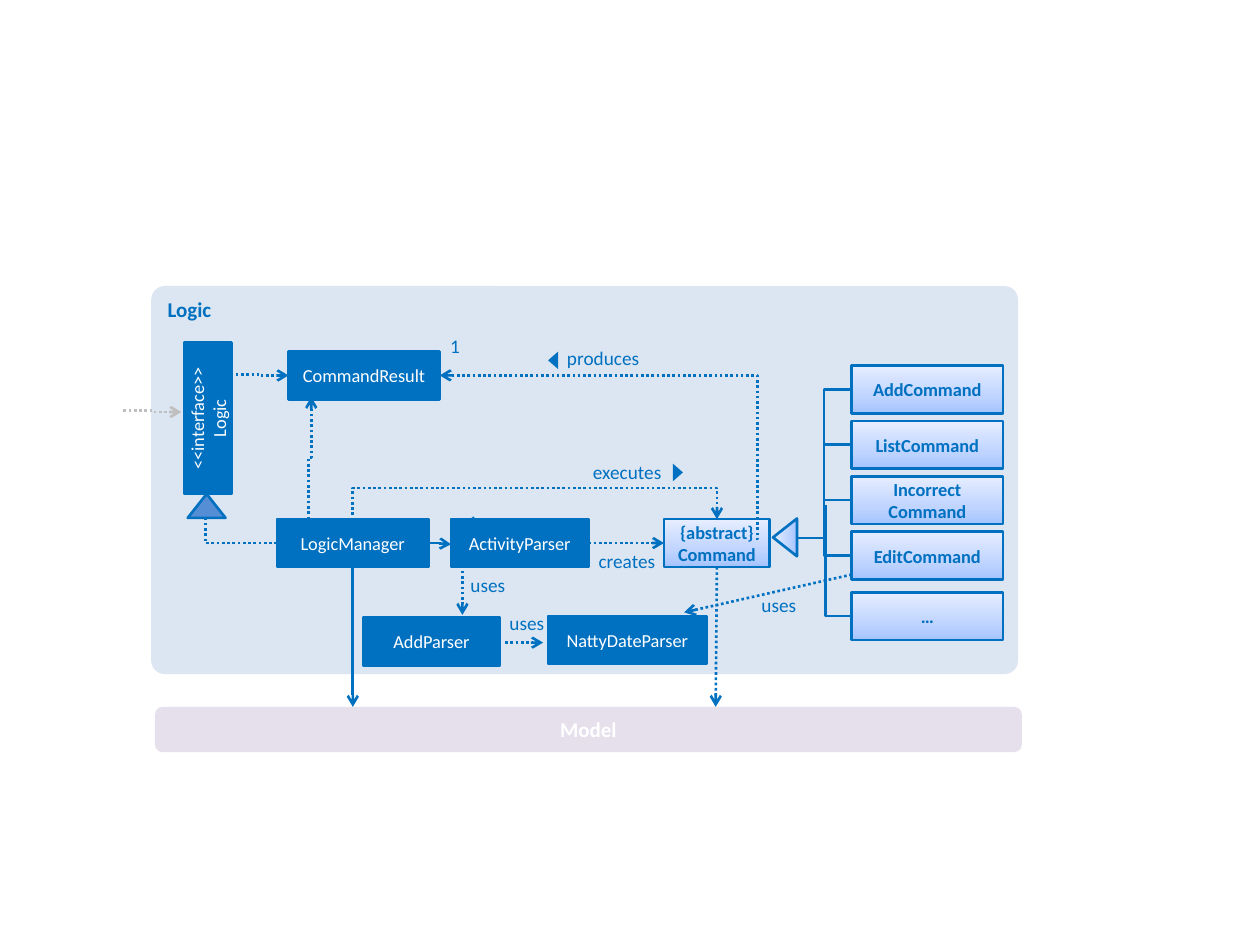
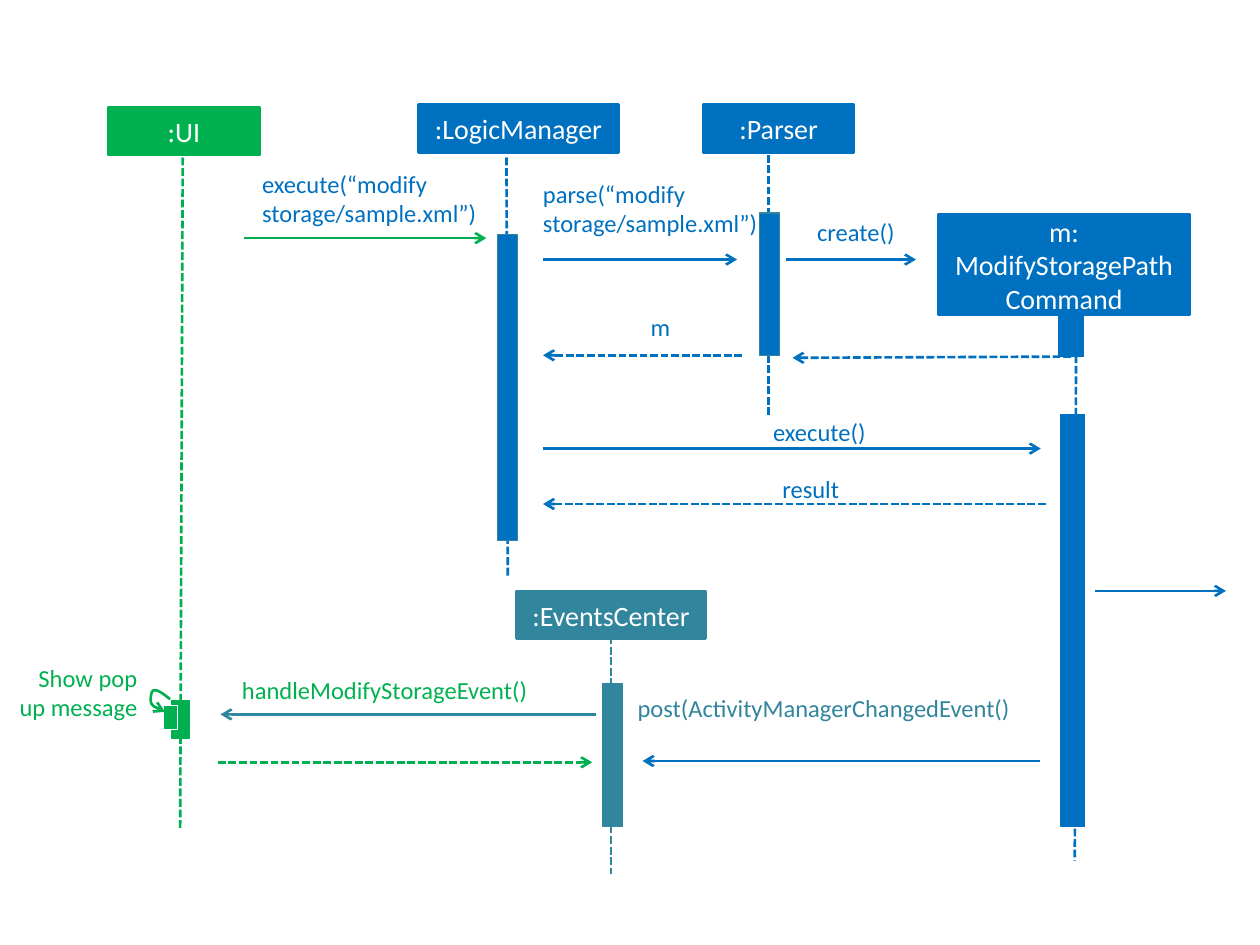
import copy

import pptx
import pptx.dml.color
import pptx.enum.dml
import pptx.enum.shapes
import pptx.enum.text
import pptx.oxml
import pptx.oxml.ns
import pptx.util

INCH = pptx.util.Inches
KIND = pptx.enum.shapes.MSO_SHAPE
ALIGN = pptx.enum.text.PP_ALIGN
ANCHOR = pptx.enum.text.MSO_ANCHOR
QN = pptx.oxml.ns.qn
DOT = pptx.enum.dml.MSO_LINE.ROUND_DOT
DASH = pptx.enum.dml.MSO_LINE.SQUARE_DOT

FONT = "Calibri"
BLUE, TEAL, GREEN, UI_GREEN = "0070C0", "31859C", "00B050", "00B14F"
WHITE, GREY, PANEL, LILAC, MID_BLUE = "FFFFFF", "BFBFBF", "DCE6F2", "E6E0EC", "558ED5"
PALE = ((0, "A4C4FF"), (0.35, "BFD4FF"), (1, "E6EEFF"))
BOX_H = 0.38

# Class diagram: left, top, width, text
CLASSES = [
    (2.29, 2.79, 1.2, "CommandResult"),
    (2.2, 4.12, 1.2, "LogicManager"),
    (3.58, 4.12, 1.09, "ActivityParser"),
    (2.88, 4.9, 1.09, "AddParser"),
    (4.35, 4.89, 1.26, "NattyDateParser"),
]
COMMANDS = ["AddCommand", "ListCommand", "Incorrect\vCommand", "EditCommand"]
COMMAND_X, COMMAND_TOP, COMMAND_STEP, COMMAND_W = 6.76, 2.9, 0.44, 1.2
MORE_TOP = 4.7
INHERIT_FROM, INHERIT_BEND = (6.33, 4.27), 6.54
# start, end, colour, dash
CLASS_ARROWS = [
    ((5.69, 4.5), (5.68, 5.61), BLUE, DOT),
    ((4.67, 4.31), (5.27, 4.31), BLUE, DOT),
    ((2.8, 4.5), (2.8, 5.61), BLUE, None),
    ((3.67, 4.53), (3.67, 4.88), BLUE, DOT),
    ((4.01, 5.1), (4.31, 5.1), BLUE, DOT),
    ((6.76, 4.56), (5.43, 4.86), BLUE, DOT),
]
# start, end, bend, bend is a height, format
CLASS_ELBOWS = [
    ((6, 4.28), (3.49, 2.98), 6.01, False, {"dash": DOT}),
    ((1.83, 2.97), (2.29, 2.98), 2.06, False, {"dash": DOT}),
    ((3.4, 4.31), (3.58, 4.32), 3.49, False, {}),
    ((0.98, 3.26), (1.44, 3.27), 1.21, False, {"dash": DOT, "color": GREY}),
    ((2.8, 4.13), (5.69, 4.12), 3.87, True, {"dash": DOT}),
    ((2.45, 4.12), (2.47, 3.15), 3.63, True, {"dash": DOT}),
]
# left, top, width, text, alignment
CLASS_LABELS = [
    (4.45, 3.65, 0.8, "executes", ALIGN.RIGHT),
    (4.5, 2.75, 0.8, "produces", ALIGN.LEFT),
    (3.51, 2.65, 0.14, "1", ALIGN.RIGHT),
    (3.65, 4.05, 0.14, "1", ALIGN.RIGHT),
    (4.59, 4.36, 0.61, "creates", ALIGN.RIGHT),
    (3.4, 4.55, 0.61, "uses", ALIGN.RIGHT),
    (3.71, 4.85, 0.61, "uses", ALIGN.RIGHT),
    (5.71, 4.71, 0.61, "uses", ALIGN.RIGHT),
]
# box, rotation, fill, outline
TRIANGLES = [
    ((6.08, 4.17, 0.3, 0.19), 270, PALE, BLUE),
    ((1.49, 3.92, 0.3, 0.19), 0, MID_BLUE, BLUE),
    ((5.31, 3.71, 0.14, 0.08), 90, BLUE, None),
    ((4.32, 2.82, 0.14, 0.08), 270, BLUE, None),
]

# Sequence diagram: box, text, fill, outline
PARTICIPANTS = [
    ((4.1, 4.69, 1.5, BOX_H), ":EventsCenter", TEAL, TEAL),
    ((0.86, 0.85, 1.2, BOX_H), ":UI", UI_GREEN, GREEN),
    ((3.32, 0.83, 1.59, BOX_H), ":LogicManager", BLUE, BLUE),
    ((5.58, 0.83, 1.2, BOX_H), ":Parser", BLUE, BLUE),
    ((7.45, 1.7, 1.99, 0.8), "m: ModifyStoragePath\vCommand", BLUE, BLUE),
]
LIFELINES = [
    ((4.85, 5.05), (4.85, 6.94), TEAL),
    ((1.45, 1.25), (1.43, 6.57), GREEN),
    ((4.02, 1.25), (4.03, 4.57), BLUE),
    ((6.1, 1.23), (6.1, 3.29), BLUE),
    ((8.54, 2.82), (8.53, 6.83), BLUE),
]
ACTIVATIONS = [
    ((4.78, 5.43, 0.16, 1.13), TEAL, TEAL),
    ((1.36, 5.56, 0.14, 0.3), GREEN, GREEN),
    ((1.3, 5.6, 0.11, 0.19), GREEN, WHITE),
    ((3.95, 1.86, 0.16, 2.43), BLUE, TEAL),
    ((6.03, 1.69, 0.16, 1.13), BLUE, TEAL),
    ((8.4, 2.48, 0.2, 0.35), BLUE, BLUE),
    ((8.42, 3.29, 0.19, 3.27), BLUE, BLUE),
]
MESSAGES = [
    ((1.73, 6.05), (4.7, 6.05), GREEN, DASH),
    ((4.73, 5.67), (1.75, 5.67), TEAL, None),
    ((1.94, 1.89), (3.86, 1.89), GREEN, None),
    ((4.31, 2.06), (5.85, 2.06), BLUE, None),
    ((6.24, 2.06), (7.27, 2.06), BLUE, None),
    ((8.5, 2.83), (6.29, 2.84), BLUE, DASH),
    ((5.89, 2.82), (4.31, 2.82), BLUE, DASH),
    ((4.31, 3.56), (8.26, 3.56), BLUE, None),
    ((8.3, 4), (4.31, 4), BLUE, DASH),
    ((8.69, 4.69), (9.73, 4.69), BLUE, None),
    ((8.25, 6.04), (5.1, 6.04), BLUE, None),
]
MESSAGE_LABELS = [
    ((1.92, 5.36, 3.38, 0.24), "handleModifyStorageEvent()", UI_GREEN, ALIGN.LEFT),
    ((2.08, 1.34, 2.95, 0.47), "execute(“modify storage/sample.xml”)", BLUE, ALIGN.LEFT),
    ((4.31, 1.42, 1.83, 0.47), "parse(“modify storage/sample.xml”)", BLUE, ALIGN.LEFT),
    ((6.4, 1.72, 0.7, 0.24), "create()", BLUE, ALIGN.RIGHT),
    ((4.94, 2.48, 0.38, 0.24), "m", BLUE, ALIGN.RIGHT),
    ((5.93, 3.31, 0.94, 0.24), "execute()", BLUE, ALIGN.RIGHT),
    ((5.98, 3.76, 0.68, 0.24), "result", BLUE, ALIGN.RIGHT),
    ((5.06, 5.5, 4.15, 0.24), "post(ActivityManagerChangedEvent()", TEAL, ALIGN.LEFT),
    ((0.07, 5.26, 1.02, 0.47), "Show pop up message", GREEN, ALIGN.RIGHT),
]
# Bezier control points of the self-call, joined end to end
SELF_CALL = [(1.35, 5.55), (1.3, 5.51), (1.25, 5.47), (1.22, 5.48), (1.2, 5.48),
             (1.19, 5.55), (1.2, 5.58), (1.21, 5.61), (1.26, 5.63), (1.31, 5.65)]


def rgb(value):
    """Turn a hex string into a colour."""
    return pptx.dml.color.RGBColor.from_string(value)


def write(shape, text, size=10.5, color=WHITE, bold=False, align=ALIGN.CENTER,
          anchor=ANCHOR.MIDDLE, inset=None):
    """Put formatted text into a shape; inset sets all four margins."""
    frame = shape.text_frame
    frame.word_wrap = True
    frame.vertical_anchor = anchor
    if inset is not None:
        frame.margin_left = frame.margin_right = INCH(inset)
        frame.margin_top = frame.margin_bottom = INCH(inset)
    frame.text = text
    for paragraph in frame.paragraphs:
        paragraph.alignment = align
        for run in paragraph.runs:
            run.font.name, run.font.size = FONT, pptx.util.Pt(size)
            run.font.bold, run.font.color.rgb = bold, rgb(color)


def label(slide, box, text, **style):
    """Add a text box without margins."""
    area = slide.shapes.add_textbox(*map(INCH, box))
    write(area, text, anchor=ANCHOR.TOP, inset=0, **style)


def paint(shape, fill):
    """Fill a shape with a colour, or with gradient stops running upwards."""
    if isinstance(fill, str):
        shape.fill.solid()
        shape.fill.fore_color.rgb = rgb(fill)
        return
    shape.fill.gradient()
    shape.fill.gradient_angle = 90
    stops = shape._element.spPr.find(QN("a:gradFill")).find(QN("a:gsLst"))
    stops.append(copy.deepcopy(stops[0]))
    for stop, (position, color) in zip(shape.fill.gradient_stops, fill):
        stop.position, stop.color.rgb = position, rgb(color)


def block(slide, box, fill, outline=None, weight=1.5, kind=KIND.RECTANGLE, rotation=0):
    """Add a preset shape."""
    shape = slide.shapes.add_shape(kind, *map(INCH, box))
    shape.shadow.inherit = False
    shape.rotation = rotation
    paint(shape, fill)
    if outline:
        shape.line.color.rgb, shape.line.width = rgb(outline), pptx.util.Pt(weight)
    else:
        shape.line.fill.background()
    return shape


def stroke(shape, color=BLUE, dash=None, arrow=True):
    """Format a line and, if asked, give its end an arrowhead."""
    shape.line.color.rgb, shape.line.width = rgb(color), pptx.util.Pt(1.5)
    if dash:
        shape.line.dash_style = dash
    if arrow:
        end = pptx.oxml.parse_xml('<a:tailEnd xmlns:a="%s" type="arrow"/>' % pptx.oxml.ns.nsuri("a"))
        shape.line._get_or_add_ln().append(end)


def connect(slide, start, end, elbow=False, **style):
    """Add a straight or elbow connector without a shadow."""
    kinds = pptx.enum.shapes.MSO_CONNECTOR
    line = slide.shapes.add_connector(kinds.ELBOW if elbow else kinds.STRAIGHT,
                                      *map(INCH, start + end))
    stroke(line, **style)
    line._element.spPr.append(pptx.oxml.parse_xml(
        '<a:effectLst xmlns:a="%s"/>' % pptx.oxml.ns.nsuri("a")))
    return line


def bend_line(slide, start, end, bend=None, upward=False, **style):
    """Bend at x, at height y when it sets out upward, or once if bend is None."""
    (x1, y1), (x2, y2) = start, end
    if upward:  # a level connector, turned a quarter to the left about its centre
        mid_x, mid_y, run, rise = (x1 + x2) / 2, (y1 + y2) / 2, (y1 - y2) / 2, (x2 - x1) / 2
        line = connect(slide, (mid_x - run, mid_y - rise), (mid_x + run, mid_y + rise), True, **style)
        line._element.spPr.find(QN("a:xfrm")).set("rot", str(270 * 60000))
        share = (bend - y1) / (y2 - y1)
    else:
        line = connect(slide, start, end, True, **style)
        share = None if bend is None else (bend - x1) / (x2 - x1)
    preset = line._element.spPr.find(QN("a:prstGeom"))
    if share is None:
        preset.set("prst", "bentConnector2")
        return
    guides = preset.find(QN("a:avLst"))
    guide = guides.makeelement(QN("a:gd"), {"name": "adj1", "fmla": "val %d" % round(share * 100000)})
    guides.append(guide)


def curve(slide, points, steps=8, **style):
    """Draw joined cubic curves as one open outline."""
    track = [points[0]]
    for first in range(0, len(points) - 1, 3):
        for step in range(1, steps + 1):
            t = step / steps
            weights = ((1 - t) ** 3, 3 * t * (1 - t) ** 2, 3 * t * t * (1 - t), t ** 3)
            track.append(tuple(sum(w * p[axis] for w, p in zip(weights, points[first:first + 4]))
                               for axis in (0, 1)))
    track = [(INCH(x), INCH(y)) for x, y in track]
    builder = slide.shapes.build_freeform(*track[0])
    builder.add_line_segments(track[1:], close=False)
    shape = builder.convert_to_shape()
    shape.shadow.inherit = False
    shape.fill.background()
    stroke(shape, **style)


def class_diagram(slide):
    """Draw the classes of the logic component."""
    panel = block(slide, (1.2, 2.27, 6.88, 3.08), PANEL, kind=KIND.ROUNDED_RECTANGLE)
    panel.adjustments[0] = 0.035
    write(panel, "Logic", size=12, color=BLUE, bold=True, align=ALIGN.LEFT, anchor=ANCHOR.TOP)
    model = block(slide, (1.23, 5.61, 6.88, 0.36), LILAC, kind=KIND.ROUNDED_RECTANGLE)
    write(model, "Model", size=12, bold=True)
    for left, top, width, name in CLASSES:
        write(block(slide, (left, top, width, BOX_H), BLUE, BLUE), name)
    interface = block(slide, (1.05, 3.13, 1.2, BOX_H), BLUE, BLUE, rotation=270)
    write(interface, "<<interface>>\nLogic")

    tops = [COMMAND_TOP + row * COMMAND_STEP for row in range(len(COMMANDS))]
    pale_boxes = [(COMMAND_X, top, COMMAND_W, name) for top, name in zip(tops, COMMANDS)]
    pale_boxes += [(COMMAND_X, MORE_TOP, COMMAND_W, "…"), (5.27, 4.12, 0.84, "{abstract}\vCommand")]
    for left, top, width, name in pale_boxes:
        write(block(slide, (left, top, width, BOX_H), PALE, BLUE), name, color=BLUE, bold=True)

    for top in tops:
        bend_line(slide, INHERIT_FROM, (COMMAND_X, top + BOX_H / 2), INHERIT_BEND, arrow=False)
    bend_line(slide, (COMMAND_X, MORE_TOP + BOX_H / 2), (6.55, 4.01), arrow=False)
    bend_line(slide, (2.2, 4.31), (1.63, 4.11), dash=DOT, arrow=False)
    for start, end, bend, upward, style in CLASS_ELBOWS:
        bend_line(slide, start, end, bend, upward, **style)
    for start, end, color, dash in CLASS_ARROWS:
        connect(slide, start, end, color=color, dash=dash)
    for box, rotation, fill, outline in TRIANGLES:
        block(slide, box, fill, outline, kind=KIND.ISOSCELES_TRIANGLE, rotation=rotation)
    for left, top, width, text, align in CLASS_LABELS:
        label(slide, (left, top, width, 0.25), text, size=11, color=BLUE, align=align)


def sequence_diagram(slide):
    """Draw the calls that change the storage location."""
    for start, end, color in LIFELINES:
        connect(slide, start, end, color=color, dash=DASH, arrow=False)
    for box, fill, outline in ACTIVATIONS:
        block(slide, box, fill, outline, weight=0.75)
    for box, name, fill, outline in PARTICIPANTS:
        write(block(slide, box, fill, outline), name, size=16)
    for start, end, color, dash in MESSAGES:
        connect(slide, start, end, color=color, dash=dash)
    curve(slide, SELF_CALL, color=GREEN)
    for box, text, color, align in MESSAGE_LABELS:
        label(slide, box, text, size=14, color=color, align=align)


deck = pptx.Presentation()
deck.slide_width, deck.slide_height = INCH(10), INCH(7.5)
for draw in (class_diagram, sequence_diagram):
    draw(deck.slides.add_slide(deck.slide_layouts[6]))
deck.save("out.pptx")
